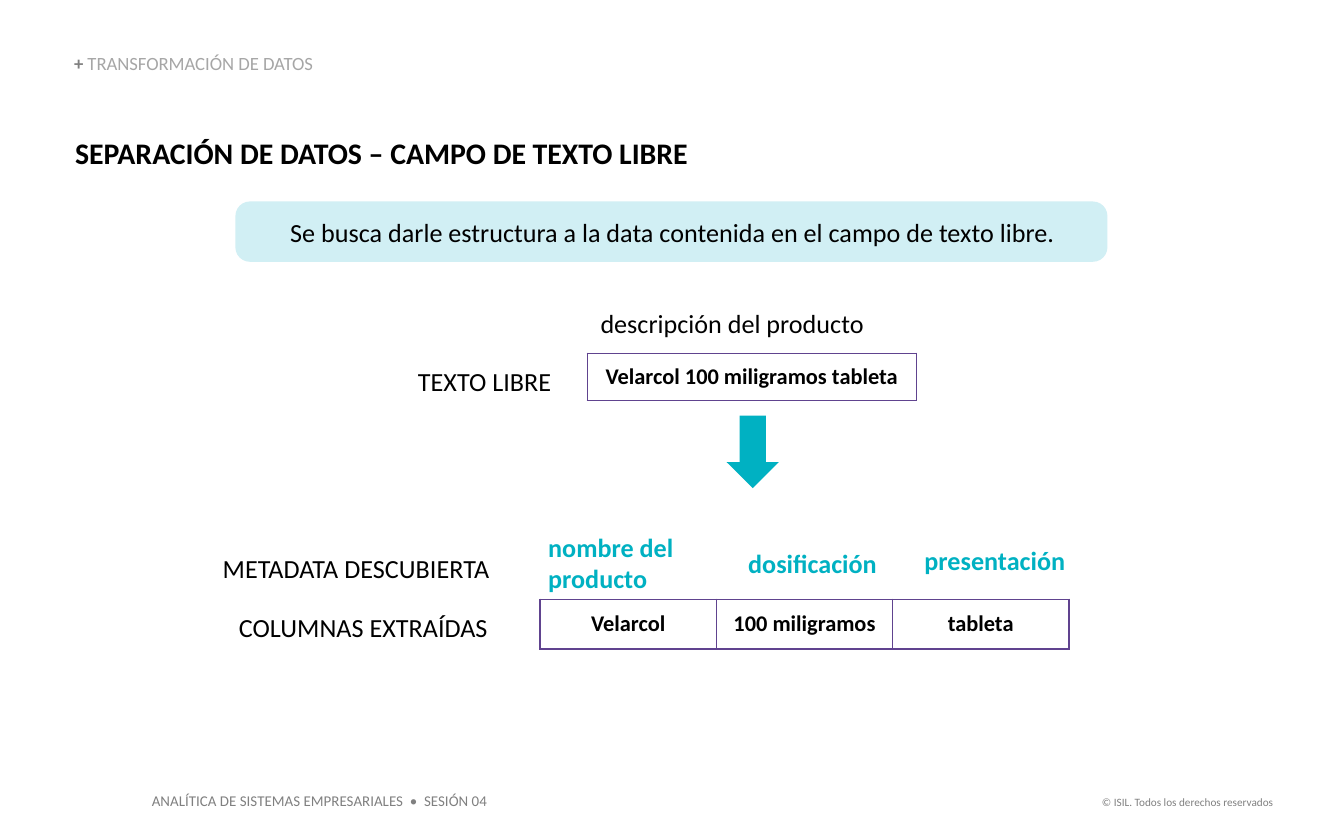
import pptx
import pptx.util
import pptx.dml.color
import pptx.enum.shapes
import pptx.enum.text
import pptx.oxml
import pptx.oxml.ns

Cm, Pt = pptx.util.Cm, pptx.util.Pt
ALIGN = pptx.enum.text.PP_ALIGN
ANCHOR = pptx.enum.text.MSO_ANCHOR
SHAPE = pptx.enum.shapes.MSO_SHAPE

COLORS = {"black": "000000", "gray": "808080", "silver": "A6A6A6", "white": "FFFFFF",
          "teal": "00B1C2", "pale": "D1EFF4", "purple": "60438F"}
FONT = "Calibri"
INSETS = (0.25, 0.13, 0.25, 0.13)
NO_INSETS = (0, 0, 0, 0)
CELL_INSETS = (0.18, 0.08, 0.18, 0.08)

# Content: text, (left, top, width, height) in cm, format
FOOTER = {"size": 8, "color": "gray", "wrap": False}
DISCOVERED = {"bold": True, "color": "teal"}
LABEL = {"align": ALIGN.RIGHT}
TEXTS = [
    ("ANALÍTICA DE SISTEMAS EMPRESARIALES  •  SESIÓN 04", (2.62, 14.83, 6.86, 0.61), FOOTER),
    ("© ISIL. Todos los derechos reservados", (20.5, 14.91, 3.81, 0.51),
     {**FOOTER, "size": 6, "align": ALIGN.RIGHT}),
    ([("+ ", "gray", True), ("TRANSFORMACIÓN DE DATOS", "silver", False)],
     (1.4, 1.04, 6.76, 0.38),
     {"size": 10, "insets": NO_INSETS, "anchor": ANCHOR.BOTTOM, "line_spacing": 0.9}),
    ("SEPARACIÓN DE DATOS – CAMPO DE TEXTO LIBRE", (1.42, 2.54, 12.27, 0.69),
     {"size": 16, "bold": True, "insets": NO_INSETS}),
    ("descripción del producto", (11.1, 5.69, 8.48, 0.86), {}),
    ("TEXTO LIBRE", (7.65, 6.78, 3.07, 0.86), {}),
    ("nombre del producto", (10.11, 9.91, 3.28, 1.45), DISCOVERED),
    ("dosificación", (13.89, 10.21, 3.05, 0.86), DISCOVERED),
    ("presentación", (17.22, 10.16, 3.48, 0.86), DISCOVERED),
    ("METADATA DESCUBIERTA", (3.76, 10.31, 5.74, 0.86), LABEL),
    ("COLUMNAS EXTRAÍDAS", (3.73, 11.43, 5.74, 0.86), LABEL),
]
BANNER = "Se busca darle estructura a la data contenida en el campo de texto libre."
PRODUCT = ["Velarcol", "100 miligramos", "tableta"]
# Values, left, top, column width, row height
ROWS = [
    ([" ".join(PRODUCT)], 11.1, 6.68, 6.22, 0.89),
    (PRODUCT, 10.21, 11.33, 3.33, 0.94),
]


def rgb(name):
    return pptx.dml.color.RGBColor.from_string(COLORS[name])


def write(frame, text, *, size=14, color="black", bold=False, align=ALIGN.LEFT,
          anchor=ANCHOR.TOP, insets=INSETS, wrap=True, line_spacing=None):
    """Fill a text frame with one paragraph; text is a string or (text, color, bold) runs."""
    frame.word_wrap = wrap
    frame.vertical_anchor = anchor
    (frame.margin_left, frame.margin_top,
     frame.margin_right, frame.margin_bottom) = map(Cm, insets)
    paragraph = frame.paragraphs[0]
    paragraph.alignment = align
    if line_spacing:
        paragraph.line_spacing = line_spacing
    for words, tone, heavy in [(text, color, bold)] if isinstance(text, str) else text:
        run = paragraph.add_run()
        run.text = words
        run.font.name, run.font.size, run.font.bold = FONT, Pt(size), heavy
        run.font.color.rgb = rgb(tone)


def add_filled(slide, kind, place, color):
    filled = slide.shapes.add_shape(kind, *map(Cm, place))
    filled.shadow.inherit = False
    filled.fill.solid()
    filled.fill.fore_color.rgb = rgb(color)
    filled.line.fill.background()
    return filled


def add_borders(cell):
    # Borders come before the fill in the cell properties
    properties = cell._tc.get_or_add_tcPr()
    for index, side in enumerate(("lnL", "lnR", "lnT", "lnB")):
        properties.insert(index, pptx.oxml.parse_xml(
            f'<a:{side} {pptx.oxml.ns.nsdecls("a")} w="{Pt(1)}"><a:solidFill>'
            f'<a:srgbClr val="{COLORS["purple"]}"/></a:solidFill></a:{side}>'))


def add_row(slide, values, left, top, column_width, height):
    row = slide.shapes.add_table(1, len(values), Cm(left), Cm(top),
                                 Cm(column_width * len(values)), Cm(height)).table
    row.first_row = row.horz_banding = False
    for column, value in enumerate(values):
        row.columns[column].width = Cm(column_width)
        cell = row.cell(0, column)
        write(cell.text_frame, value, size=12, bold=True, align=ALIGN.CENTER)
        cell.vertical_anchor = ANCHOR.MIDDLE
        (cell.margin_left, cell.margin_top,
         cell.margin_right, cell.margin_bottom) = map(Cm, CELL_INSETS)
        cell.fill.solid()
        cell.fill.fore_color.rgb = rgb("white")
        add_borders(cell)


def main():
    deck = pptx.Presentation()
    deck.slide_width, deck.slide_height = Cm(25.4), Cm(15.88)
    slide = deck.slides.add_slide(deck.slide_layouts[6])

    # Headings, labels and footer
    for text, place, style in TEXTS:
        write(slide.shapes.add_textbox(*map(Cm, place)).text_frame, text, **style)

    # Banner
    banner = add_filled(slide, SHAPE.ROUNDED_RECTANGLE, (4.45, 3.81, 16.48, 1.14), "pale")
    banner.adjustments[0] = 0.24
    write(banner.text_frame, BANNER, align=ALIGN.CENTER, anchor=ANCHOR.MIDDLE,
          insets=(0.3, 0.13, 0.25, 0.13))

    # Arrow from free text to extracted columns
    arrow = add_filled(slide, SHAPE.RIGHT_ARROW, (13.54, 8.05, 1.37, 0.99), "teal")
    arrow.rotation = 90

    # Free text and extracted columns
    for row in ROWS:
        add_row(slide, *row)

    deck.save("out.pptx")


if __name__ == "__main__":
    main()
